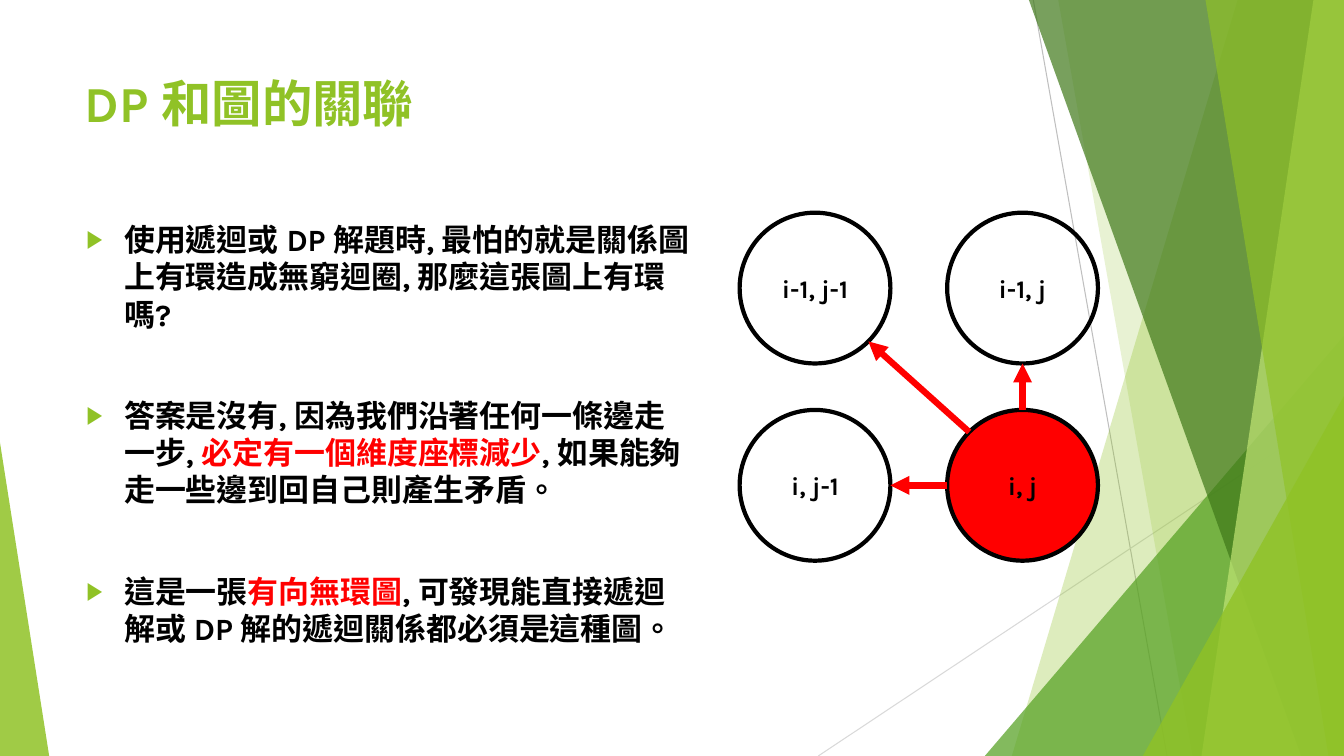
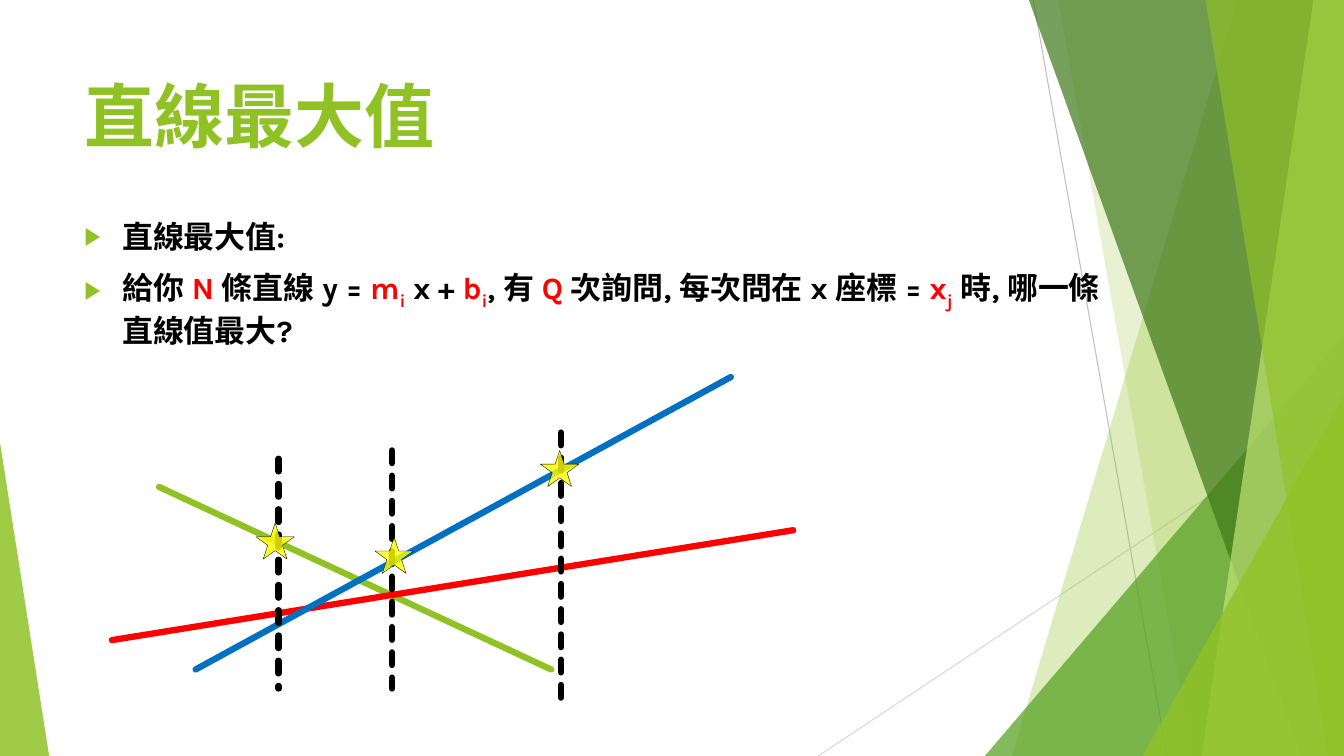
from math import hypot

from lxml import etree
from pptx import Presentation
from pptx.dml.color import RGBColor
from pptx.enum.dml import MSO_LINE
from pptx.enum.shapes import MSO_CONNECTOR, MSO_SHAPE
from pptx.enum.text import MSO_ANCHOR, MSO_AUTO_SIZE, PP_ALIGN
from pptx.oxml.ns import qn
from pptx.util import Cm, Pt

STRAIGHT = MSO_CONNECTOR.STRAIGHT
TRIANGLE = MSO_SHAPE.ISOSCELES_TRIANGLE
OVAL = MSO_SHAPE.OVAL
STAR = MSO_SHAPE.STAR_5_POINT
DASH = MSO_LINE.SQUARE_DOT
TOP, MIDDLE = MSO_ANCHOR.TOP, MSO_ANCHOR.MIDDLE
LEFT, CENTER = PP_ALIGN.LEFT, PP_ALIGN.CENTER
NO_FIT = MSO_AUTO_SIZE.NONE

WIDTH, HEIGHT = 33.87, 19.05
FONT = "Karla"
GREEN, MID_GREEN, DARK_GREEN, LIME = "90C226", "54A021", "3F7819", "C0E474"
BLACK, RED, BLUE, YELLOW = "000000", "FF0000", "0070C0", "FFFF00"
TITLE_BOX = (1.88, 1.7, 23.88, 3.66)
BODY_SIZE = 22.1
INDENT = 0.95

DAG_TEXT = [
    [("使用遞迴或 DP 解題時, 最怕的就是關係圖上有環造成無窮迴圈, 那麼這張圖上有環嗎?",)],
    [("答案是沒有, 因為我們沿著任何一條邊走一步, ",), ("必定有一個維度座標減少", RED),
     (", 如果能夠走一些邊到回自己則產生矛盾。",)],
    [("這是一張",), ("有向無環圖", RED),
     (", 可發現能直接遞迴解或 DP 解的遞迴關係都必須是這種圖。",)],
]
LINES_TEXT = [
    [("直線最大值:",)],
    [("給你 ",), ("N ", RED), ("條直線 y = ",), ("m", RED), ("i", RED, -25),
     (" x + ",), ("b", RED), ("i", RED, -25), (", 有 ",), ("Q", RED),
     (" 次詢問, 每次問在 x 座標 = ",), ("x", RED), ("j", RED, -25),
     (" 時, 哪一條直線值最大?",)],
]


def rgb(color):
    """Turn a hex string into a colour."""
    return RGBColor.from_string(color)


def cm(*values):
    """Turn numbers into centimetre lengths."""
    return [Cm(v) for v in values]


def sub(parent, tag, **attrs):
    """Append a DrawingML element and return it."""
    return etree.SubElement(parent, qn(tag), attrs)


def add_run(p, text, size, color=BLACK, base=0):
    """Add one bold run to a paragraph."""
    r = p.add_run()
    r.text = text
    r.font.size, r.font.bold, r.font.name = Pt(size), True, FONT
    r.font.color.rgb = rgb(color)
    rPr = r._r.get_or_add_rPr()
    rPr.set("lang", "zh-TW")
    if base:
        rPr.set("baseline", str(base * 1000))
    sub(rPr, "a:ea", typeface=FONT)


def style_shape(sp, fill=None, alpha=100, line=None, width=1):
    """Set fill, transparency and outline of a shape."""
    sp.shadow.inherit = False
    if fill:
        sp.fill.solid()
        sp.fill.fore_color.rgb = rgb(fill)
        if alpha < 100:
            clr = sp.fill._xPr.find(".//" + qn("a:srgbClr"))
            sub(clr, "a:alpha", val=str(alpha * 1000))
    else:
        sp.fill.background()
    if line:
        sp.line.color.rgb = rgb(line)
        sp.line.width = Pt(width)
    else:
        sp.line.fill.background()


def add_line(shapes, start, end, color, width=4.5, dash=None, rounded=False, arrow=False):
    """Draw a straight line between two points."""
    cxn = shapes.add_connector(STRAIGHT, *cm(*start, *end))
    cxn.line.color.rgb = rgb(color)
    cxn.line.width = Pt(width)
    if dash:
        cxn.line.dash_style = dash
    ln = cxn.line._get_or_add_ln()
    if rounded:
        ln.set("cap", "rnd")
        sub(ln, "a:round")
    if arrow:
        sub(ln, "a:tailEnd", type="triangle")
    sub(cxn._element.spPr, "a:effectLst")


def add_band(shapes, top_x, bottom_x, fill, alpha):
    """Draw a slanted band that reaches the right edge."""
    fb = shapes.build_freeform(*cm(top_x, 0))
    corners = [(WIDTH, 0), (WIDTH, HEIGHT), (bottom_x, HEIGHT)]
    fb.add_line_segments([cm(*pt) for pt in corners], close=True)
    style_shape(fb.convert_to_shape(), fill, alpha)


def add_corner(shapes, box, apex, fill, alpha):
    """Draw a right-angled triangle with its apex at one side."""
    sp = shapes.add_shape(TRIANGLE, *cm(*box))
    sp.adjustments[0] = apex
    style_shape(sp, fill, alpha)


def decorate_layout(layout, slide):
    """Build the green facets and hang them behind the layout."""
    grp = slide.shapes.add_group_shape()
    shapes = grp.shapes
    add_line(shapes, (26.04, 0), (29.41, HEIGHT), "BFBFBF", 0.75)
    add_line(shapes, (WIDTH, 10.24), (20.62, HEIGHT), "D9D9D9", 0.75)
    add_band(shapes, 31.19, 25.5, GREEN, 30)
    add_band(shapes, 26.67, 30.05, GREEN, 20)
    add_corner(shapes, (24.82, 8.46, 9.05, 10.59), 1, MID_GREEN, 72)
    add_band(shapes, 25.93, 32.79, DARK_GREEN, 70)
    add_band(shapes, 33.1, 30.28, LIME, 70)
    add_band(shapes, 30.38, 33.48, GREEN, 65)
    add_corner(shapes, (28.8, 9.98, 5.07, 9.07), 1, GREEN, 80)
    add_corner(shapes, (0, 11.15, 1.24, 7.9), 0, GREEN, 85)
    for n, el in enumerate(grp.element.iter(qn("p:cNvPr")), 100):
        el.set("id", str(n))
    layout.shapes.element.insert(2, grp.element)


def add_title(slide, text, size):
    """Place and format the title placeholder."""
    sp = slide.shapes.title
    sp.left, sp.top, sp.width, sp.height = cm(*TITLE_BOX)
    tf = sp.text_frame
    tf.vertical_anchor, tf.auto_size = TOP, NO_FIT
    p = tf.paragraphs[0]
    p.alignment = LEFT
    add_run(p, text, size, GREEN)


def add_bullets(slide, box, paragraphs, gap):
    """Write a bulleted list into a box."""
    tf = slide.shapes.add_textbox(*cm(*box)).text_frame
    tf.word_wrap = True
    for n, runs in enumerate(paragraphs):
        p = tf.add_paragraph() if n else tf.paragraphs[0]
        if n:
            p.space_before = Pt(gap)
        pPr = p._p.get_or_add_pPr()
        pPr.set("marL", str(Cm(INDENT)))
        pPr.set("indent", str(-Cm(INDENT)))
        sub(sub(pPr, "a:buClr"), "a:srgbClr", val=GREEN)
        sub(pPr, "a:buSzPct", val="80000")
        sub(pPr, "a:buFont", typeface=FONT)
        sub(pPr, "a:buChar", char="▶")
        for text, *look in runs:
            add_run(p, text, BODY_SIZE, *look)


def add_state_graph(slide, left, top):
    """Draw the four states and the arrows leaving state i, j."""
    diameter, step_x, step_y = 3.8, 5.23, 4.97
    radius = diameter / 2
    states = [("i-1, j-1", 0, 0), ("i-1, j", 1, 0), ("i, j-1", 0, 1), ("i, j", 1, 1)]
    for label, col, row in states:
        x, y = left + col * step_x, top + row * step_y
        sp = slide.shapes.add_shape(OVAL, *cm(x, y, diameter, diameter))
        style_shape(sp, RED if col and row else None, line=BLACK, width=3)
        sp.text_frame.vertical_anchor = MIDDLE
        p = sp.text_frame.paragraphs[0]
        p.alignment = CENTER
        add_run(p, label, 18)
    cx, cy = left + step_x + radius, top + step_y + radius
    for dx, dy in [(0, -1), (-1, 0), (-1, -1)]:
        rim_x, rim_y = (radius * d / hypot(dx, dy) for d in (dx, dy))
        start = (cx + rim_x, cy + rim_y)
        end = (cx + dx * step_x - rim_x, cy + dy * step_y - rim_y)
        add_line(slide.shapes, start, end, RED, arrow=True)


def add_line_plot(slide, left, top):
    """Draw three lines, the query positions and the maxima."""
    lines = [
        (1.19, 2.77, 11.07, 7.37, GREEN, None),
        (0, 6.63, 17.17, 3.86, RED, None),
        (15.6, 0, 2.11, 7.37, BLUE, None),
        (7.06, 1.85, 7.06, 7.85, BLACK, DASH),
        (4.2, 2.06, 4.2, 7.85, BLACK, DASH),
        (11.32, 1.4, 11.32, 8.15, BLACK, DASH),
    ]
    for x1, y1, x2, y2, color, dash in lines:
        add_line(slide.shapes, (left + x1, top + y1), (left + x2, top + y2),
                 color, dash=dash, rounded=True)
    for x, y in [(3.63, 3.68), (6.63, 4.04), (10.8, 1.85)]:
        sp = slide.shapes.add_shape(STAR, *cm(left + x, top + y, 0.97, 0.91))
        style_shape(sp, YELLOW, 81, BLACK, 0.25)


def build_dag_slide(slide):
    """Fill the slide on DP and graphs."""
    add_title(slide, "DP 和圖的關聯", 36)
    add_bullets(slide, (1.93, 5.44, 15.75, 10.77), DAG_TEXT, gap=46)
    add_state_graph(slide, 18.64, 5.36)


def build_lines_slide(slide):
    """Fill the slide on the maximum of lines."""
    add_title(slide, "直線最大值", 50)
    add_bullets(slide, (1.88, 5.36, 26.2, 10.77), LINES_TEXT, gap=10)
    add_line_plot(slide, 2.82, 9.5)


def main():
    """Build and save the presentation."""
    prs = Presentation()
    prs.slide_width, prs.slide_height = cm(WIDTH, HEIGHT)
    layout = prs.slide_layouts[5]
    dag, lines = (prs.slides.add_slide(layout) for _ in range(2))
    decorate_layout(layout, dag)
    build_dag_slide(dag)
    build_lines_slide(lines)
    prs.save("out.pptx")


if __name__ == "__main__":
    main()
